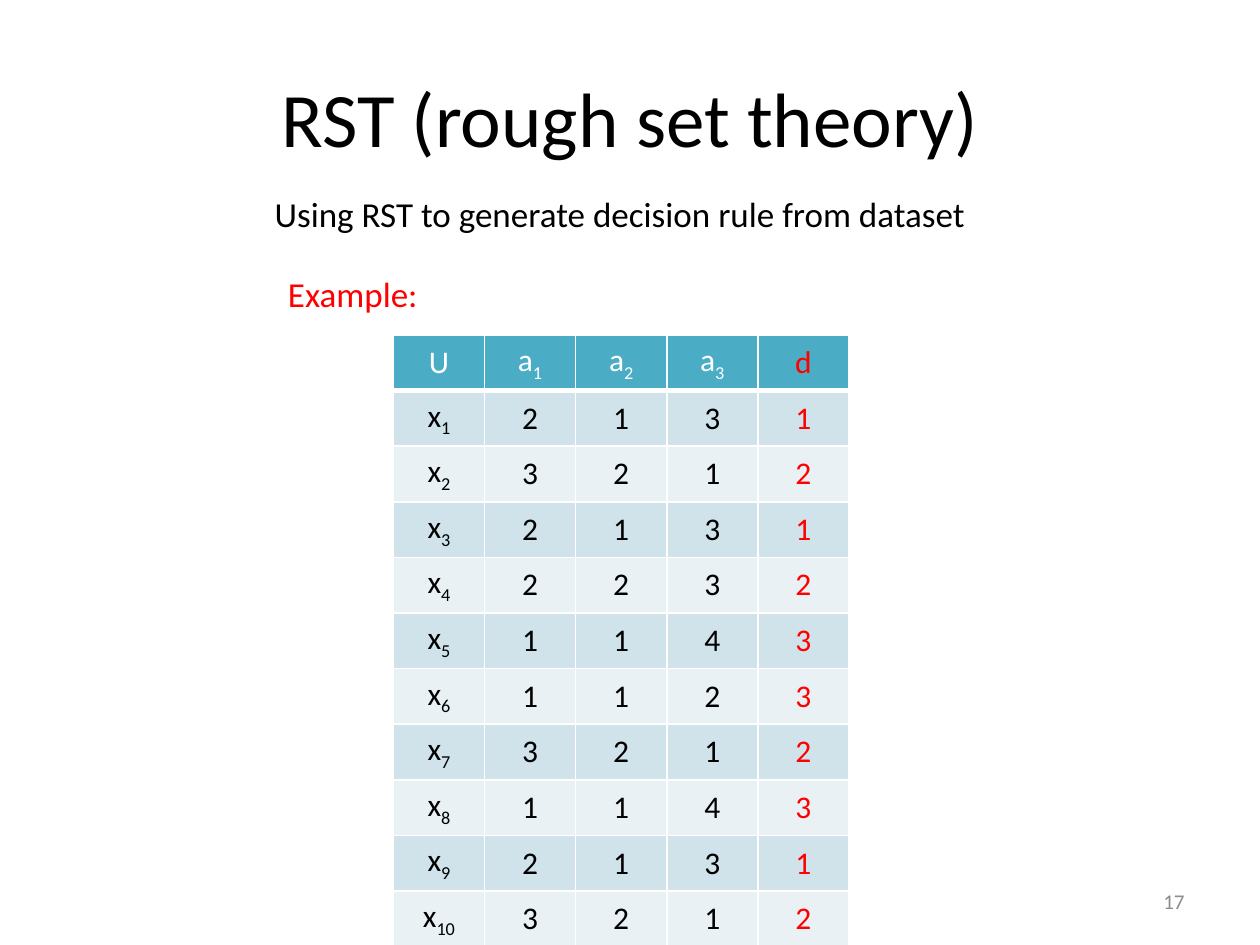
from pptx import Presentation
from pptx.dml.color import RGBColor as Rgb
from pptx.enum.text import MSO_ANCHOR as Anchor, PP_ALIGN as Align
from pptx.oxml import parse_xml as make
from pptx.oxml.ns import nsdecls
from pptx.util import Pt

BLACK, WHITE, RED = "000000", "FFFFFF", "FF0000"
HEAD, BANDS = "4BACC6", ("D0E3EA", "E9F1F5")
DATA = ["2131", "3212", "2131", "2232", "1143",
        "1123", "3212", "1143", "2131", "3212"]


def color(hue):
    """Turn a hex string into a colour."""
    return Rgb.from_string(hue)


def style(item, form):
    """Set each format value on an object."""
    for name, value in form.items():
        setattr(item, name, value)


def add_run(para, text, size, hue, base=0):
    """Add a run, lowered by base percent if given."""
    run = para.add_run()
    run.text = text
    style(run.font, {"name": "Calibri", "size": Pt(size), "bold": False})
    run.font.color.rgb = color(hue)
    if base:
        run.font._element.set("baseline", str(base * 1000))


def add_text(slide, text, place, size, hue, align, anchor=Anchor.TOP):
    """Add a one-line text box."""
    frame = slide.shapes.add_textbox(*map(Pt, place)).text_frame
    style(frame, {"word_wrap": True, "vertical_anchor": anchor})
    para = frame.paragraphs[0]
    para.alignment = align
    add_run(para, text, size, hue)


def add_edge(cell, side, width):
    """Draw one white cell edge."""
    cell._tc.get_or_add_tcPr().append(make(
        f'<a:ln{side} {nsdecls("a")} w="{Pt(width)}"><a:solidFill>'
        f'<a:srgbClr val="{WHITE}"/></a:solidFill></a:ln{side}>'))


def fill_cell(cell, text, hue, fill, edges):
    """Write a cell, with any index after its letter lowered."""
    for side, width in edges.items():
        add_edge(cell, side, width)
    cell.fill.solid()
    cell.fill.fore_color.rgb = color(fill)
    cell.vertical_anchor = Anchor.MIDDLE
    para = cell.text_frame.paragraphs[0]
    para.alignment = Align.CENTER
    add_run(para, text[0], 18, hue)
    if text[1:]:
        add_run(para, text[1:], 18, hue, -25)


def add_grid(slide):
    """Add the decision table."""
    rows = [["U", "a1", "a2", "a3", "d"]]
    rows += [[f"x{i}", *vals] for i, vals in enumerate(DATA, 1)]
    wide, head, tall = 52.1, 18, 29.2
    place = (224.8, 191.4, 5 * wide, head + len(DATA) * tall)
    grid = slide.shapes.add_table(len(rows), 5, *map(Pt, place)).table
    for col in grid.columns:
        col.width = Pt(wide)
    for i, row in enumerate(rows):
        grid.rows[i].height = Pt(tall if i else head)
        fill = BANDS[(i - 1) % 2] if i else HEAD
        edges = {"L": 1, "R": 1, "B": 1} if i else {"L": 1, "R": 1, "T": 1, "B": 3}
        for j, text in enumerate(row):
            hue = RED if j == 4 else BLACK if i else WHITE
            fill_cell(grid.cell(i, j), text, hue, fill, edges)


def main():
    """Build and save the slide."""
    deck = Presentation()
    style(deck, {"slide_width": Pt(720), "slide_height": Pt(540)})
    slide = deck.slides.add_slide(deck.slide_layouts[6])
    add_text(slide, "RST (rough set theory)", (36, 21.6, 648, 90),
             44, BLACK, Align.CENTER, Anchor.MIDDLE)
    add_grid(slide)
    add_text(slide, "17", (516, 500.5, 168, 28.75),
             12, "8C8C8C", Align.RIGHT, Anchor.MIDDLE)
    add_text(slide, "Using RST to generate decision rule from dataset",
             (90, 106.5, 528.5, 31.5), 20, BLACK, Align.CENTER)
    add_text(slide, "Example:", (157.5, 152, 208, 31.5), 20, RED, Align.LEFT)
    deck.save("out.pptx")


if __name__ == "__main__":
    main()
